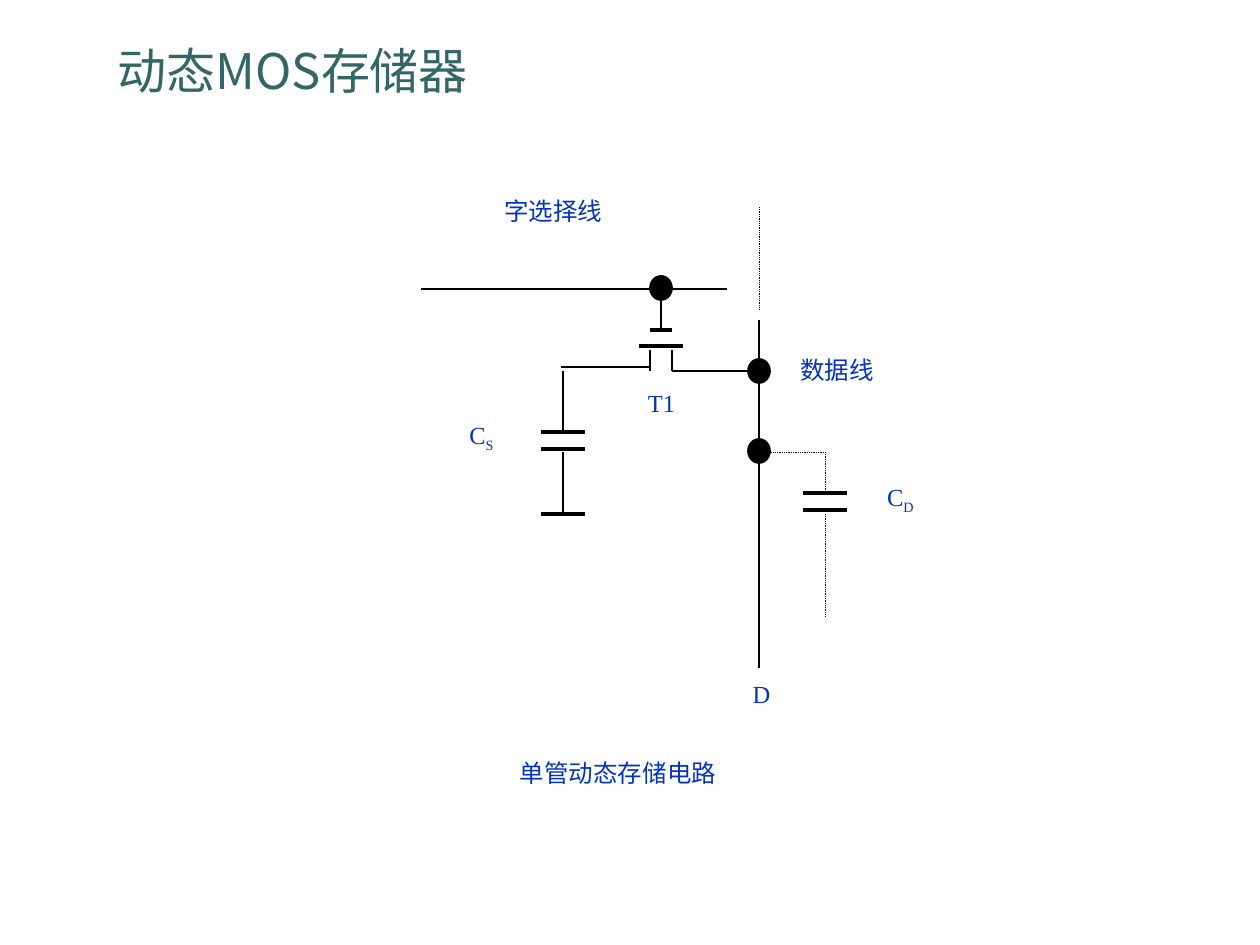
from pptx import Presentation
from pptx.dml.color import RGBColor
from pptx.enum.dml import MSO_LINE_DASH_STYLE as Dash
from pptx.enum.shapes import MSO_CONNECTOR as Connector, MSO_SHAPE as Shape
from pptx.enum.text import MSO_ANCHOR as Anchor, PP_ALIGN as Align
from pptx.oxml.ns import qn
from pptx.util import Emu, Pt
from lxml.etree import SubElement

PX = 914400 / 126


def px(length):
    return Emu(round(length * PX))


def color(value):
    return RGBColor.from_string(value)


class Circuit:
    sans, serif = "Noto Sans CJK SC", "Times New Roman"
    ink, blue, teal = "000000", "0033CC", "336666"
    plate_half, plate_gap = 22, 17

    def __init__(self, page):
        self.page = page

    def text(self, x, y, width, height, content, size, font, tint,
             sub="", align=Align.CENTER, anchor=Anchor.TOP, inset=1):
        box = self.page.shapes.add_textbox(px(x), px(y), px(width), px(height))
        frame = box.text_frame
        frame.word_wrap = True
        frame.vertical_anchor = anchor
        frame.margin_left = frame.margin_right = px(inset)
        frame.margin_top = frame.margin_bottom = px(min(inset, 6))
        para = frame.paragraphs[0]
        para.alignment = align
        for part, baseline in ((content, None), (sub, "-25000")):
            if not part:
                continue
            span = para.add_run()
            span.text = part
            span.font.size = Pt(size)
            span.font.name = font
            span.font.color.rgb = color(tint)
            props = span.font._element
            SubElement(props, qn("a:ea")).set("typeface", self.sans)
            if baseline:
                props.set("baseline", baseline)

    def title(self, content):
        self.text(105, 26, 1061, 79, content, 28, self.sans, self.teal,
                  align=Align.LEFT, anchor=Anchor.BOTTOM, inset=13)

    def label(self, x, y, width, height, content, sub=""):
        self.text(x, y, width, height, content, 14, self.serif, self.blue, sub)

    def wire(self, x1, y1, x2, y2, weight=1, dotted=False):
        line = self.page.shapes.add_connector(
            Connector.STRAIGHT, px(x1), px(y1), px(x2), px(y2))
        line.line.color.rgb = color(self.ink)
        line.line.width = Pt(weight)
        if dotted:
            line.line.dash_style = Dash.ROUND_DOT
        SubElement(line._element.spPr, qn("a:effectLst"))

    def dotted(self, x1, y1, x2, y2):
        self.wire(x1, y1, x2, y2, 0.5, True)

    def plate(self, x, y, half=plate_half):
        self.wire(x - half, y, x + half, y, 2)

    def capacitor(self, x, y):
        self.plate(x, y)
        self.plate(x, y + self.plate_gap)

    def node(self, x, y):
        dot = self.page.shapes.add_shape(
            Shape.OVAL, px(x - 11), px(y - 12), px(22), px(24))
        dot.shadow.inherit = False
        dot.fill.solid()
        dot.fill.fore_color.rgb = color(self.ink)
        dot.line.color.rgb = color(self.ink)
        dot.line.width = Pt(1)


def main():
    deck = Presentation()
    deck.slide_width, deck.slide_height = px(1260), px(945)
    circuit = Circuit(deck.slides.add_slide(deck.slide_layouts[6]))
    gate_x, data_x, store_x, stray_x = 661, 759, 563, 825

    circuit.title("动态MOS存储器")

    # Labels
    circuit.label(725, 678, 73, 48, "D")
    circuit.label(864, 481, 73, 48, "C", "D")
    circuit.label(445, 419, 73, 48, "C", "S")
    circuit.label(625, 387, 73, 48, "T1")
    circuit.label(782, 354, 110, 73, "数据线")
    circuit.label(437, 195, 233, 73, "字选择线")
    circuit.label(382, 757, 472, 82, "单管动态存储电路")

    # Word select line and transistor T1
    circuit.wire(421, 289, 727, 289)
    circuit.wire(gate_x, 289, gate_x, 330)
    circuit.plate(gate_x, 330, 11)
    circuit.plate(gate_x, 346)
    for side in (-11, 11):
        circuit.wire(gate_x + side, 350, gate_x + side, 371)
    circuit.wire(561, 367, 649, 367)
    circuit.wire(gate_x + 11, 371, data_x, 371)

    # Storage capacitor to ground
    circuit.wire(store_x, 371, store_x, 432)
    circuit.capacitor(store_x, 432)
    circuit.wire(store_x, 452, store_x, 514)
    circuit.plate(store_x, 514)

    # Data line with its stray capacitor
    circuit.dotted(data_x, 207, data_x, 310)
    circuit.wire(data_x, 320, data_x, 668)
    circuit.dotted(data_x, 452, stray_x, 452)
    circuit.dotted(stray_x, 452, stray_x, 493)
    circuit.capacitor(stray_x, 493)
    circuit.dotted(stray_x, 514, stray_x, 616)

    # Junctions
    for x, y in ((data_x, 371), (gate_x, 288), (data_x, 451)):
        circuit.node(x, y)

    deck.save("out.pptx")


if __name__ == "__main__":
    main()
